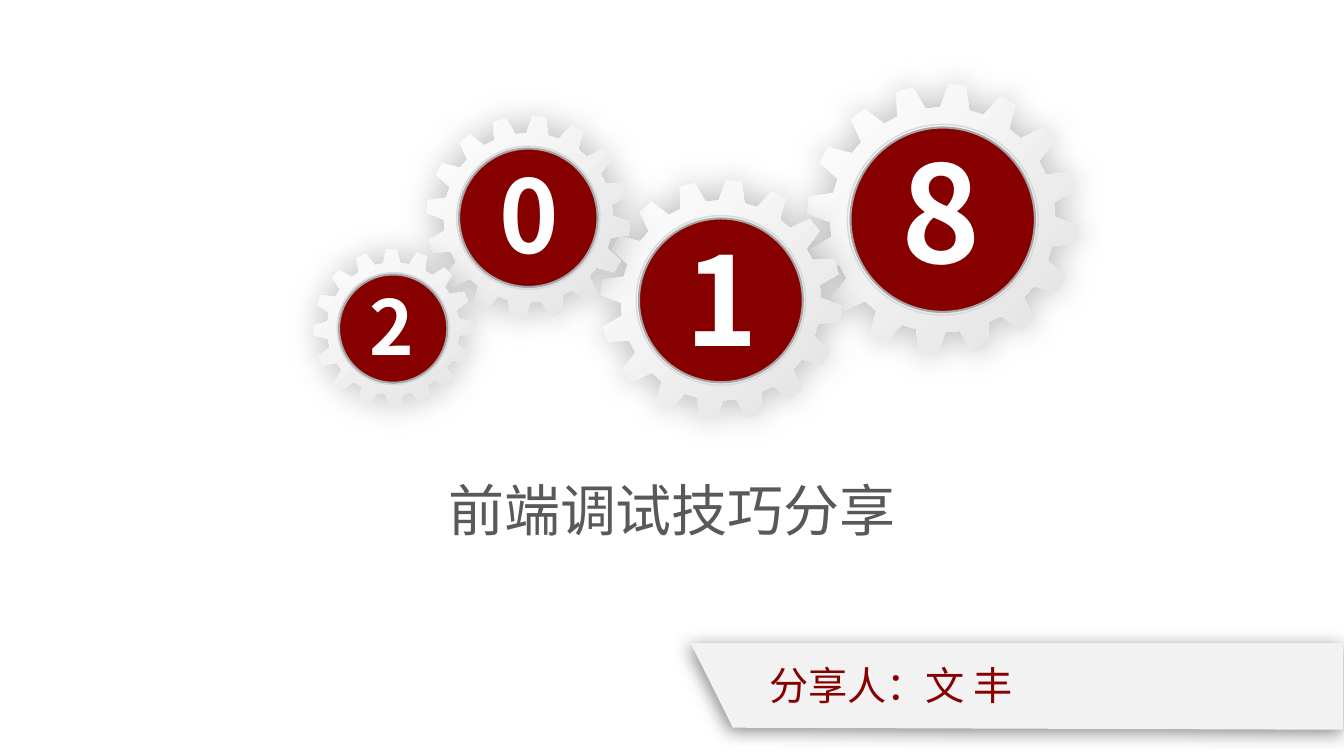
import math

import pptx
import pptx.dml.color
import pptx.enum.dml
import pptx.enum.shapes
import pptx.enum.text
import pptx.oxml
import pptx.oxml.ns
import pptx.util

Inches = pptx.util.Inches
FONT = "Noto Sans CJK SC"
CRIMSON = "860000"
TEETH = 16
ROOT_RATIO, HOLE_RATIO, DISC_RATIO, RING_RATIO = 0.83, 0.595, 0.68, 0.703


def rgb(hex_colour):
    """Turn a hex string into a colour."""
    return pptx.dml.color.RGBColor.from_string(hex_colour)


def add_shadow(shape, opacity, blur, distance, angle):
    """Give a shape a soft black outer shadow."""
    shape.shadow.inherit = False
    effects = shape._element.spPr.find(pptx.oxml.ns.qn("a:effectLst"))
    effects.append(pptx.oxml.parse_xml(
        f'<a:outerShdw {pptx.oxml.ns.nsdecls("a")} blurRad="{pptx.util.Pt(blur)}" '
        f'dist="{pptx.util.Pt(distance)}" dir="{angle * 60000}" algn="ctr" rotWithShape="0">'
        f'<a:srgbClr val="000000"><a:alpha val="{opacity * 1000}"/></a:srgbClr></a:outerShdw>'))


def add_outline(slide, contours):
    """Draw closed contours, given in inches, as one shape without a line."""
    first, *others = [[(Inches(x), Inches(y)) for x, y in contour] for contour in contours]
    outline = slide.shapes.build_freeform(*first[0])
    outline.add_line_segments(first[1:], close=True)
    for contour in others:
        outline.move_to(*contour[0])
        outline.add_line_segments(contour[1:], close=True)
    shape = outline.convert_to_shape()
    shape.line.fill.background()
    return shape


def add_text(slide, box, words, size, colour, bold=False, centred=True, wrap=False):
    """Place one line of text in a box given in inches."""
    frame = slide.shapes.add_textbox(*map(Inches, box)).text_frame
    frame.word_wrap = wrap
    frame.auto_size = pptx.enum.text.MSO_AUTO_SIZE.SHAPE_TO_FIT_TEXT
    line = frame.paragraphs[0]
    line.text = words
    line.font.name, line.font.size, line.font.bold = FONT, pptx.util.Pt(size), bold
    line.font.color.rgb = rgb(colour)
    if centred:
        line.alignment = pptx.enum.text.PP_ALIGN.CENTER
    for run in line.runs:
        run._r.get_or_add_rPr().append(pptx.oxml.parse_xml(
            f'<a:ea {pptx.oxml.ns.nsdecls("a")} typeface="{FONT}"/>'))


def add_circle(group, centre, radius, line_colour, line_width, rotation, fill=None):
    """Add an outlined circle around a centre."""
    x, y = centre
    circle = group.shapes.add_shape(
        pptx.enum.shapes.MSO_SHAPE.OVAL,
        *map(Inches, (x - radius, y - radius, 2 * radius, 2 * radius)))
    circle.shadow.inherit = False
    circle.rotation = rotation
    circle.line.color.rgb = rgb(line_colour)
    circle.line.width = pptx.util.Pt(line_width)
    if fill:
        circle.fill.solid()
        circle.fill.fore_color.rgb = rgb(fill)
    else:
        circle.fill.background()


def add_gear(slide, centre, radius, phase, rotation, digit, size, digit_box):
    """Draw a gear with a crimson disc and a digit on it."""
    def polar(angle, ratio):
        turn = math.radians(angle)
        return (centre[0] + radius * ratio * math.cos(turn),
                centre[1] + radius * ratio * math.sin(turn))

    profile = [(-7.5, ROOT_RATIO), (-3.7, 1), (3.7, 1), (7.5, ROOT_RATIO)]
    teeth = [polar(phase + tooth * 360 / TEETH + offset, ratio)
             for tooth in range(TEETH) for offset, ratio in profile]
    hole = [polar(-angle, HOLE_RATIO) for angle in range(0, 360, 5)]
    gear = add_outline(slide, [teeth, hole])
    gear.rotation = rotation
    gear.fill.gradient()
    gear.fill.gradient_angle = 315
    for stop, colour, position in zip(gear.fill.gradient_stops, ("FFFFFF", "E2E2E2"), (0, 1)):
        stop.color.rgb = rgb(colour)
        stop.position = position
    add_shadow(gear, 25, 23, 0, 48)

    hub = slide.shapes.add_group_shape()
    add_circle(hub, centre, radius * DISC_RATIO, "A6A6A6", 1.5, rotation, CRIMSON)
    add_circle(hub, centre, radius * RING_RATIO, "D9D9D9", 1, rotation)
    add_text(slide, digit_box, digit, size, "FFFFFF", bold=True)


def add_year(slide):
    """Draw the year as four interlocking gears."""
    add_gear(slide, (9.35, 2.18), 1.345, 6.2, 0, "8", 96, (8.71, 1.23, 1.25, 1.72))
    add_gear(slide, (7.15, 2.98), 1.195, 6.2, 0, "1", 88, (6.67, 2.17, 0.97, 1.58))
    add_gear(slide, (5.24, 2.16), 1.01, 6.2, 0, "0", 72, (4.78, 1.47, 0.94, 1.31))
    add_gear(slide, (3.9, 3.26), 0.79, 13.9, 7.3, "2", 54, (3.52, 2.73, 0.74, 1.01))


def add_speaker_banner(slide, left, top, width, height):
    """Draw the slanted banner that names the speaker."""
    right, bottom = left + width, top + height
    banner = add_outline(slide, [[(left, top), (right, top), (right, bottom),
                                  (left + 0.42, bottom - 0.02)]])
    banner.fill.solid()
    banner.fill.fore_color.rgb = rgb("F2F2F2")
    add_shadow(banner, 45, 13, 3, 135)
    add_text(slide, (left + 0.68, top + 0.13, 5.8, 0.57), "分享人：文 丰", 28, CRIMSON,
             centred=False, wrap=True)


def main():
    """Build the title slide."""
    deck = pptx.Presentation()
    deck.slide_width, deck.slide_height = Inches(13.33), Inches(7.5)
    slide = deck.slides.add_slide(deck.slide_layouts[6])
    add_year(slide)
    add_text(slide, (0, 4.67, 13.33, 0.78), "前端调试技巧分享", 40, "595959", wrap=True)
    add_speaker_banner(slide, 6.85, 6.38, 6.47, 0.86)
    deck.save("out.pptx")


if __name__ == "__main__":
    main()
